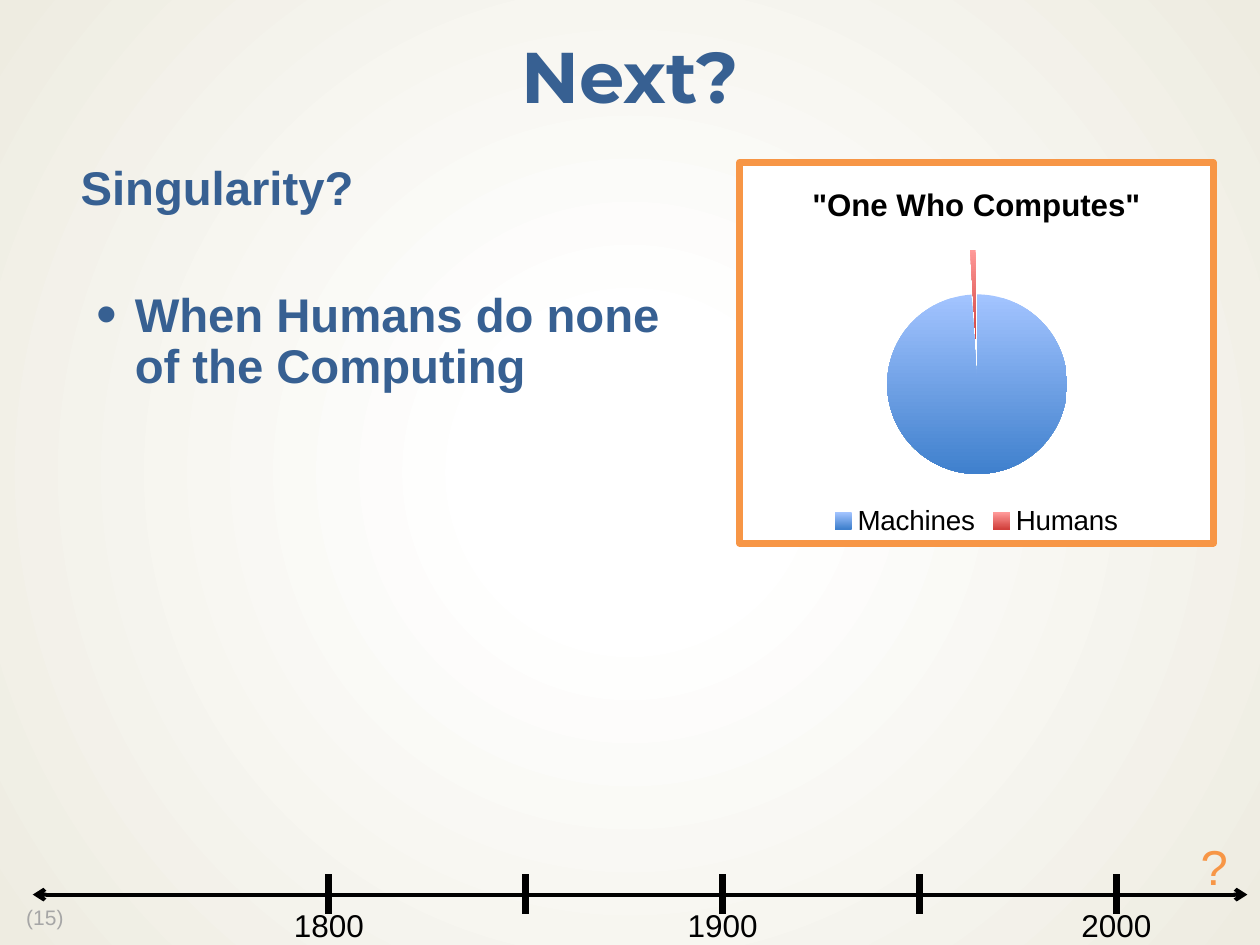
from lxml.etree import SubElement
from pptx import Presentation
from pptx.chart.data import CategoryChartData
from pptx.dml.color import RGBColor
from pptx.enum.chart import XL_CHART_TYPE, XL_LEGEND_POSITION
from pptx.enum.shapes import MSO_CONNECTOR, MSO_SHAPE
from pptx.enum.text import MSO_ANCHOR, PP_ALIGN
from pptx.oxml import parse_xml
from pptx.oxml.ns import nsdecls, qn
from pptx.util import Inches, Pt

# Content
TITLE = "Next?"
HEADING = "Singularity?"
BULLET = ["When Humans do none", "of the Computing"]
CHART_TITLE = '"One Who Computes"'
SLICES = [("Machines", 99, "A3C4FF", "3F80CD"), ("Humans", 1, "FF9A99", "D1403C")]
YEARS = [1800, 1850, 1900, 1950, 2000]
LABELLED = {1800, 1900, 2000}

BLUE, ORANGE, BLACK, GREY = "376092", "F79646", "000000", "A6A6A6"
CHART_BOX = [Inches(v) for v in (5.87, 1.29, 3.76, 3.02)]
AXIS_Y, FIRST_TICK, YEAR_STEP = 7.1, 2.61, 6.25 / 200


def rgb(hex_color):
    return RGBColor.from_string(hex_color)


def add_run(p, text, size, color, font="Arial", bold=False):
    r = p.add_run()
    r.text = text
    r.font.size, r.font.name, r.font.bold = Pt(size), font, bold
    r.font.color.rgb = rgb(color)


def add_box(s, left, top, width, height, wrap=False):
    tf = s.shapes.add_textbox(*map(Inches, (left, top, width, height))).text_frame
    tf.word_wrap = wrap
    return tf


def add_line(s, x1, y1, x2, y2, weight, arrows=False):
    line = s.shapes.add_connector(MSO_CONNECTOR.STRAIGHT, *map(Inches, (x1, y1, x2, y2)))
    line.line.color.rgb = rgb(BLACK)
    line.line.width = Pt(weight)
    if arrows:
        for end in ("a:headEnd", "a:tailEnd"):
            SubElement(line.line._get_or_add_ln(), qn(end), type="arrow")
    SubElement(line._element.spPr, qn("a:effectLst"))


prs = Presentation()
prs.slide_width, prs.slide_height = Inches(10), Inches(7.5)
s = prs.slides.add_slide(prs.slide_layouts[5])

# Background: radial gradient
fill = s.background.fill
fill.gradient()
for stop, color, pos in zip(fill.gradient_stops, ("FFFFFF", "EEECE1"), (0.18, 1)):
    stop.color.rgb = rgb(color)
    stop.position = pos
linear = s.background._cSld.find(".//" + qn("a:lin"))
linear.getparent().replace(linear, parse_xml(
    f'<a:path {nsdecls("a")} path="circle">'
    '<a:fillToRect l="50000" t="50000" r="50000" b="50000"/></a:path>'))

# Title
title = s.shapes.title
title.left, title.top, title.width, title.height = map(Inches, (0, 0.17, 10, 0.94))
tf = title.text_frame
tf.vertical_anchor = MSO_ANCHOR.MIDDLE
p = tf.paragraphs[0]
p.alignment, p.line_spacing = PP_ALIGN.CENTER, 0.9
add_run(p, TITLE, 41, BLUE, "Montserrat", True)

# Body text
tf = add_box(s, 0.38, 1.25, 5.4, 2.2, wrap=True)
tf.margin_left = tf.margin_right = Inches(0.12)
tf.margin_top = tf.margin_bottom = Inches(0.06)
p = tf.paragraphs[0]
p.line_spacing = 0.9
p._p.get_or_add_pPr().set("marL", str(Inches(0.14)))
add_run(p, HEADING, 27, BLUE, bold=True)

p = tf.add_paragraph()
p.line_spacing, p.space_before = 0.9, Pt(43)
pPr = p._p.get_or_add_pPr()
pPr.set("marL", str(Inches(0.57)))
pPr.set("indent", str(Inches(-0.3)))
SubElement(pPr, qn("a:buSzPct"), val="125000")
SubElement(pPr, qn("a:buFont"), typeface="Arial")
SubElement(pPr, qn("a:buChar"), char="•")
for i, line in enumerate(BULLET):
    if i:
        p.add_line_break()
    add_run(p, line, 27, BLUE, bold=True)

# Pie chart
data = CategoryChartData()
data.categories = [name for name, *_ in SLICES]
data.add_series(CHART_TITLE, [value for _, value, *_ in SLICES])
chart = s.shapes.add_chart(XL_CHART_TYPE.PIE, *CHART_BOX, data).chart
chart.font.name, chart.font.size = "Arial", Pt(10)
chart.font.color.rgb = rgb(BLACK)
chart.has_title = True
add_run(chart.chart_title.text_frame.paragraphs[0], CHART_TITLE, 18, BLACK, bold=True)
chart.has_legend = True
chart.legend.position = XL_LEGEND_POSITION.BOTTOM
chart.legend.include_in_layout = False
chart.legend.font.size = Pt(16)
plot = chart.plots[0]
plot.vary_by_categories = True
series = plot.series[0]
series._element.find(qn("c:tx")).addnext(
    parse_xml(f'<c:explosion {nsdecls("c")} val="25"/>'))
for i, (_, _, *colors) in enumerate(SLICES):
    fill = series.points[i].format.fill
    fill.gradient()
    fill.gradient_angle = 270
    for stop, color, pos in zip(fill.gradient_stops, colors, (0, 1)):
        stop.color.rgb = rgb(color)
        stop.position = pos
chart._chartSpace.find(qn("c:chart")).addnext(parse_xml(
    f'<c:spPr {nsdecls("c", "a")}><a:solidFill><a:srgbClr val="FFFFFF"/></a:solidFill>'
    '<a:ln w="25400"><a:solidFill><a:srgbClr val="000000"/></a:solidFill></a:ln></c:spPr>'))

# Frame around the chart
frame = s.shapes.add_shape(MSO_SHAPE.RECTANGLE, *CHART_BOX)
frame.shadow.inherit = False
frame.fill.background()
frame.line.color.rgb = rgb(ORANGE)
frame.line.width = Pt(4)
SubElement(frame.line._get_or_add_ln(), qn("a:round"))

# Timeline
add_line(s, 0.26, AXIS_Y, 9.9, AXIS_Y, 2.25, arrows=True)
for year in YEARS:
    x = FIRST_TICK + (year - YEARS[0]) * YEAR_STEP
    add_line(s, x, 6.94, x, 7.25, 4)
    if year in LABELLED:
        p = add_box(s, x - 0.38, 7.14, 0.76, 0.4).paragraphs[0]
        p.alignment = PP_ALIGN.CENTER
        add_run(p, str(year), 18, BLACK)
add_run(add_box(s, 9.43, 6.59, 0.42, 0.57).paragraphs[0], "?", 28, ORANGE)

# Slide number
p = add_box(s, 0.11, 7.15, 0.52, 0.28).paragraphs[0]
p.line_spacing = 0.9
add_run(p, "(15)", 12, GREY)

prs.save("out.pptx")
